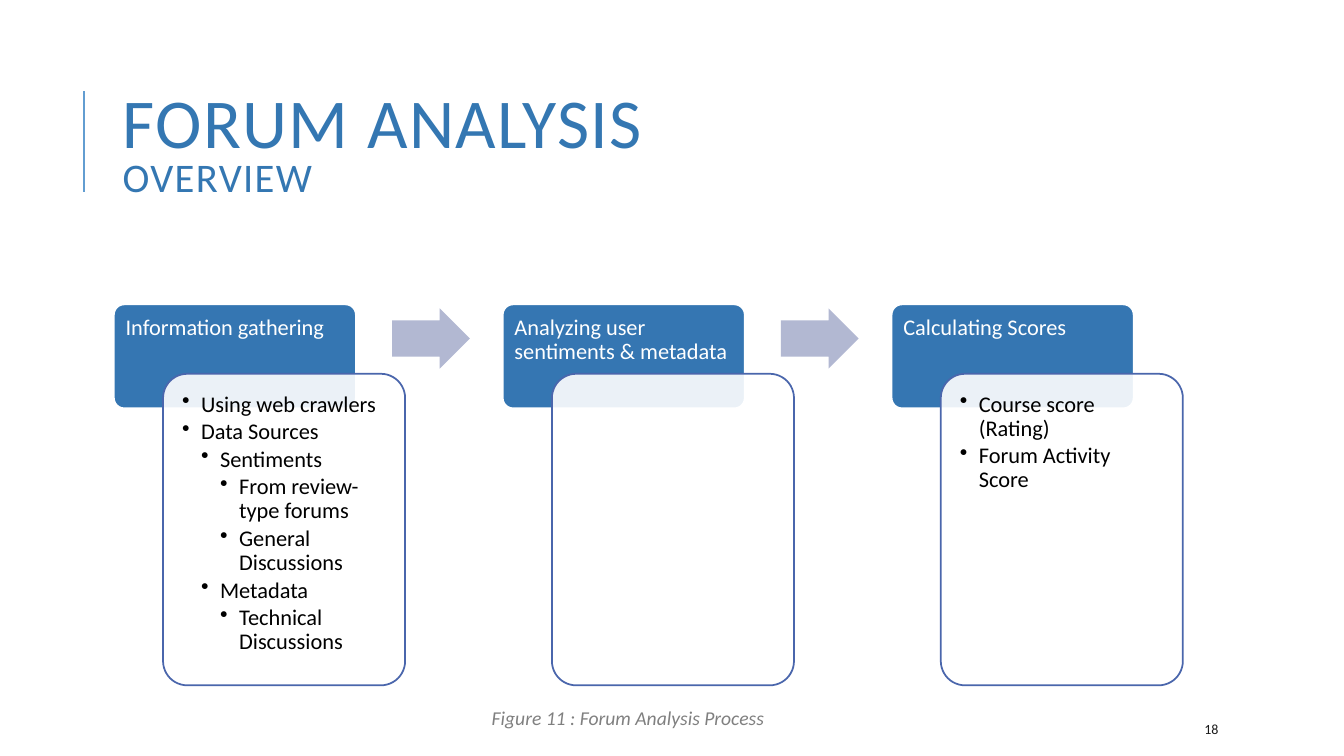
"""Build the forum analysis overview slide: three process steps joined by arrows."""
from lxml.etree import SubElement
from pptx import Presentation
from pptx.dml.color import RGBColor
from pptx.enum.shapes import MSO_CONNECTOR, MSO_SHAPE
from pptx.enum.text import MSO_ANCHOR, MSO_AUTO_SIZE, PP_ALIGN
from pptx.oxml.ns import qn
from pptx.util import Cm, Pt

TITLE = "FORUM ANALYSIS\nOVERVIEW"
CAPTION = "Figure 11 : Forum Analysis Process"
NUMBER = "18"
STEPS = [
    ("Information gathering", [
        (1, "Using web crawlers"),
        (1, "Data Sources"),
        (2, "Sentiments"),
        (3, "From review-type forums"),
        (3, "General Discussions"),
        (2, "Metadata"),
        (3, "Technical Discussions"),
    ]),
    ("Analyzing user sentiments & metadata", []),
    ("Calculating Scores", [
        (1, "Course score (Rating)"),
        (1, "Forum Activity Score"),
    ]),
]


class Theme:
    """Colours, font and type sizes."""
    font = "Calibri"
    title, head, edge, arrow = "3477B2", "3576B2", "4A66AC", "B2B8D2"
    rule, white, black, grey, dark = "629DD1", "FFFFFF", "000000", "808080", "1A1A1A"
    large, medium, body, note, small = 50, 29, 16, 14, 10


LEFT, TOP, STEP = 2.87, 7.67, 9.8
WIDTH, HEAD, BODY = 6.1, 2.62, 7.85
SHIFT, DROP = 1.24, 1.75
INDENT = 0.48


def write(shape, text, sizes=(Theme.body,), color=Theme.black, italic=False,
          anchor=MSO_ANCHOR.TOP, wrap=True, pad=(0.25, 0.13), line=1.0, after=0, track=0):
    """Fill a shape with one string or with (level, string) bullet items."""
    frame = shape.text_frame
    frame.word_wrap, frame.vertical_anchor = wrap, anchor
    frame.margin_left = frame.margin_right = Cm(pad[0])
    frame.margin_top = frame.margin_bottom = Cm(pad[1])
    items = [(0, text)] if isinstance(text, str) else text
    for order, (level, words) in enumerate(items):
        para = frame.add_paragraph() if order else frame.paragraphs[0]
        para.alignment, para.line_spacing = PP_ALIGN.LEFT, line
        para.space_after = Pt(after)
        if level:
            para.level = level
            props = para._p.get_or_add_pPr()
            props.set("marL", str(Cm(INDENT * level)))
            props.set("indent", str(-Cm(INDENT)))
            SubElement(props, qn("a:buChar")).set("char", "•")
        for row, (part, size) in enumerate(zip(words.split("\n"), sizes)):
            if row:
                para.add_line_break()
            run = para.add_run()
            run.text = part
            font = run.font
            font.name, font.size, font.italic = Theme.font, Pt(size), italic
            font.color.rgb = RGBColor.from_string(color)
            if track:
                run._r.get_or_add_rPr().set("spc", str(track))


def draw(slide, kind, box, fill, edge=None, adjust=(0.1,), alpha=None):
    """Add a flat preset shape."""
    shape = slide.shapes.add_shape(kind, *map(Cm, box))
    shape.shadow.inherit = False
    shape.fill.solid()
    shape.fill.fore_color.rgb = RGBColor.from_string(fill)
    if alpha:
        color = shape._element.spPr.find(qn("a:solidFill"))[0]
        SubElement(color, qn("a:alpha")).set("val", str(alpha * 1000))
    if edge:
        shape.line.color.rgb = RGBColor.from_string(edge)
        shape.line.width = Pt(1.25)
    else:
        shape.line.fill.background()
    for place, value in enumerate(adjust):
        shape.adjustments[place] = value
    return shape


def label(slide, box, text, **style):
    """Add a text box."""
    shape = slide.shapes.add_textbox(*map(Cm, box))
    write(shape, text, **style)
    return shape


def main():
    """Lay out the slide and save it."""
    deck = Presentation()
    deck.slide_width, deck.slide_height = Cm(33.87), Cm(19.05)
    slide = deck.slides.add_slide(deck.slide_layouts[6])

    rule = slide.shapes.add_connector(
        MSO_CONNECTOR.STRAIGHT, Cm(2.12), Cm(4.83), Cm(2.12), Cm(2.3))
    rule.line.color.rgb = RGBColor.from_string(Theme.rule)
    rule.line.width = Pt(1.5)
    SubElement(rule._element.spPr, qn("a:effectLst"))

    label(slide, (2.84, 1.63, 27, 4.17), TITLE, sizes=(Theme.large, Theme.medium),
          color=Theme.title, anchor=MSO_ANCHOR.MIDDLE, line=0.8, track=100)
    label(slide, (30.1, 17.98, 2.69, 0.76), NUMBER, sizes=(Theme.small,),
          color=Theme.dark, anchor=MSO_ANCHOR.MIDDLE)
    note = label(slide, (12.14, 17.65, 7.44, 0.86), CAPTION, sizes=(Theme.note,),
                 color=Theme.grey, italic=True, wrap=False)
    note.text_frame.auto_size = MSO_AUTO_SIZE.SHAPE_TO_FIT_TEXT

    for order, (name, points) in enumerate(STEPS):
        left = LEFT + order * STEP
        head = draw(slide, MSO_SHAPE.ROUNDED_RECTANGLE, (left, TOP, WIDTH, HEAD),
                    Theme.head, Theme.white)
        write(head, name, color=Theme.white, pad=(0.22, 0.22), line=0.9)
        body = draw(slide, MSO_SHAPE.ROUNDED_RECTANGLE,
                    (left + SHIFT, TOP + DROP, WIDTH, BODY),
                    Theme.white, Theme.edge, alpha=90)
        write(body, points, pad=(0.3, 0.3), line=0.9, after=2.4)
        if order < len(STEPS) - 1:
            draw(slide, MSO_SHAPE.RIGHT_ARROW, (left + 7.01, 7.77, 1.96, 1.52),
                 Theme.arrow, adjust=(0.6, 0.5))

    deck.save("out.pptx")


if __name__ == "__main__":
    main()
